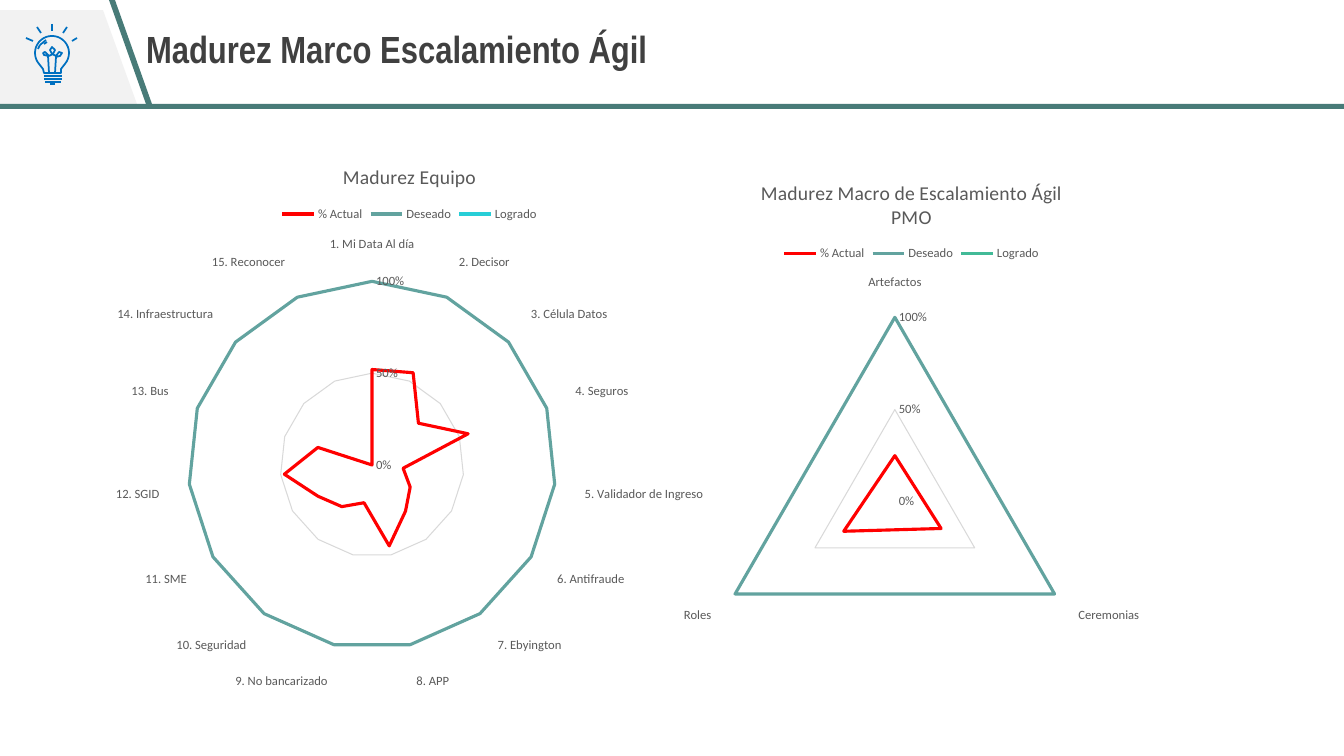
import math

import pptx
import pptx.chart.data
import pptx.dml.color
import pptx.enum.chart
import pptx.enum.shapes
import pptx.enum.text
import pptx.oxml
import pptx.oxml.ns
import pptx.util

RGBColor = pptx.dml.color.RGBColor
TEAL_DARK = RGBColor(0x48, 0x7B, 0x78)
TEAL = RGBColor(0x62, 0xA3, 0x9F)
CYAN = RGBColor(0x27, 0xCE, 0xD7)
GREEN = RGBColor(0x42, 0xBA, 0x97)
RED = RGBColor(0xFF, 0x00, 0x00)
BLUE = RGBColor(0x00, 0x70, 0xC0)
PANEL = RGBColor(0xF2, 0xF2, 0xF2)
GRID = RGBColor(0xD9, 0xD9, 0xD9)
TITLE_INK = RGBColor(0x40, 0x40, 0x40)
CHART_INK = RGBColor(0x59, 0x59, 0x59)

# Content
HEADING = "Madurez Marco Escalamiento Ágil"
RADARS = [
    {
        "title": "Madurez Equipo",
        "box": (22, 143, 775, 557),
        "current": {
            "1. Mi Data Al día": 0.52, "2. Decisor": 0.55, "3. Célula Datos": 0.34,
            "4. Seguros": 0.55, "5. Validador de Ingreso": 0.17, "6. Antifraude": 0.24,
            "7. Ebyington": 0.31, "8. APP": 0.45, "9. No bancarizado": 0.21,
            "10. Seguridad": 0.28, "11. SME": 0.34, "12. SGID": 0.48,
            "13. Bus": 0.31, "14. Infraestructura": 0, "15. Reconocer": 0,
        },
        "colors": (RED, TEAL, CYAN),
    },
    {
        "title": "Madurez Macro de Escalamiento Ágil\nPMO",
        "box": (502, 160, 819, 537),
        "current": {"Artefactos": 0.25, "Ceremonias": 0.29, "Roles": 0.32},
        "colors": (RED, TEAL, GREEN),
    },
]

# Header geometry, in px
ICON_PANEL = [(0, 10), (103, 10), (137, 104), (0, 104)]
SLANTED_BAR = [(109, 0), (115, 0), (152, 104), (146, 104)]
BULB_CENTER, BULB_RADIUS = (52, 53), 17
FILAMENT = [(49, 73), (48, 56), (44, 55), (43, 53), (45, 52), (49, 56), (53, 54),
            (55, 50), (52, 47), (50, 50), (52, 54), (56, 56), (59, 52), (62, 53),
            (60, 56), (56, 57), (55, 73)]
BULB_RAYS = [(77, 38, 72, 41), (67, 27, 63, 33), (52, 24, 52, 31),
             (37, 27, 41, 33), (26, 38, 33, 41)]
BULB_BASE = [(44, 76, 62, 76), (44, 79, 62, 79), (45, 82, 61, 82), (50, 84, 55, 84)]
BULB_SHINE = [(38, 49, 40, 45), (40, 45, 46, 40), (44, 44, 47, 42)]


def px(length):
    return pptx.util.Emu(round(length * 914400 / 100.8))


def outline(shapes, points, closed=True):
    points = [(px(x), px(y)) for x, y in points]
    builder = shapes.build_freeform(*points[0])
    builder.add_line_segments(points[1:], close=closed)
    shape = builder.convert_to_shape()
    shape.shadow.inherit = False
    return shape


def paint(shape, color):
    shape.fill.solid()
    shape.fill.fore_color.rgb = color
    shape.line.fill.background()


def ink(font, size, color=CHART_INK, face="Calibri"):
    font.size = pptx.util.Pt(size)
    font.name = face
    font.color.rgb = color


def stroke(line, color, width):
    line.color.rgb = color
    line.width = pptx.util.Pt(width)


def add_header(slide):
    shapes = slide.shapes
    paint(outline(shapes, ICON_PANEL), PANEL)
    rule = shapes.add_shape(pptx.enum.shapes.MSO_SHAPE.RECTANGLE,
                            px(0), px(104), px(1344), px(5))
    rule.shadow.inherit = False
    paint(rule, TEAL_DARK)
    paint(outline(shapes, SLANTED_BAR), TEAL_DARK)

    # Light bulb: glass, filament, then the straight strokes
    angles = [math.radians(a) for a in range(140, 401, 10)]
    glass = [(BULB_CENTER[0] + BULB_RADIUS * math.cos(a),
              BULB_CENTER[1] + BULB_RADIUS * math.sin(a)) for a in angles]
    glass = [(44, 73), (43, 69)] + glass + [(61, 69), (61, 73)]
    for points, closed in ((glass, True), (FILAMENT, False)):
        part = outline(shapes, points, closed)
        part.fill.background()
        stroke(part.line, BLUE, 1.25)
    for x1, y1, x2, y2 in BULB_RAYS + BULB_BASE + BULB_SHINE:
        ray = shapes.add_connector(pptx.enum.shapes.MSO_CONNECTOR.STRAIGHT,
                                   px(x1), px(y1), px(x2), px(y2))
        stroke(ray.line, BLUE, 1.25)
        ray._element.spPr.append(pptx.oxml.parse_xml(
            "<a:effectLst %s/>" % pptx.oxml.ns.nsdecls("a")))

    # Heading
    heading = shapes.title
    heading.left, heading.top, heading.width, heading.height = map(px, (128, 0, 934, 103))
    frame = heading.text_frame
    frame.text = HEADING
    frame.word_wrap = True
    frame.margin_left = px(18)
    frame.vertical_anchor = pptx.enum.text.MSO_ANCHOR.MIDDLE
    paragraph = frame.paragraphs[0]
    paragraph.alignment = pptx.enum.text.PP_ALIGN.LEFT
    paragraph.line_spacing = 0.9
    ink(paragraph.runs[0].font, 27, TITLE_INK, "Arial Narrow")
    paragraph.runs[0].font.bold = True


def add_radar(slide, radar):
    current = radar["current"]
    maturity = pptx.chart.data.CategoryChartData(number_format="0%")
    maturity.categories = list(current)
    maturity.add_series("% Actual", list(current.values()))
    maturity.add_series("Deseado", [1] * len(current))
    maturity.add_series("Logrado", [0] * len(current))
    chart = slide.shapes.add_chart(pptx.enum.chart.XL_CHART_TYPE.RADAR,
                                   *map(px, radar["box"]), maturity).chart
    ink(chart.font, 10)

    # Title and legend
    chart.has_title = True
    chart.chart_title.include_in_layout = False
    chart.chart_title.text_frame.text = radar["title"]
    for paragraph in chart.chart_title.text_frame.paragraphs:
        ink(paragraph.runs[0].font, 14)
        paragraph.runs[0].font.bold = False
    chart.has_legend = True
    chart.legend.position = pptx.enum.chart.XL_LEGEND_POSITION.TOP
    chart.legend.include_in_layout = False
    ink(chart.legend.font, 9)

    # Axes
    scale = chart.value_axis
    for axis in (chart.category_axis, scale):
        axis.major_tick_mark = pptx.enum.chart.XL_TICK_MARK.NONE
        axis.minor_tick_mark = pptx.enum.chart.XL_TICK_MARK.NONE
        ink(axis.tick_labels.font, 9)
    stroke(chart.category_axis.format.line, GRID, 0.75)
    scale.minimum_scale, scale.maximum_scale, scale.major_unit = 0, 1, 0.5
    scale.tick_labels.number_format = "0%"
    scale.tick_labels.number_format_is_linked = False
    scale.format.line.fill.background()
    stroke(scale.major_gridlines.format.line, GRID, 0.75)

    # Series
    chart.plots[0].vary_by_categories = False
    for level, color in zip(chart.plots[0].series, radar["colors"]):
        stroke(level.format.line, color, 2.25)


def main():
    deck = pptx.Presentation()
    deck.slide_width, deck.slide_height = px(1344), px(756)
    slide = deck.slides.add_slide(deck.slide_layouts[5])
    add_header(slide)
    for radar in RADARS:
        add_radar(slide, radar)
    deck.save("out.pptx")


if __name__ == "__main__":
    main()
